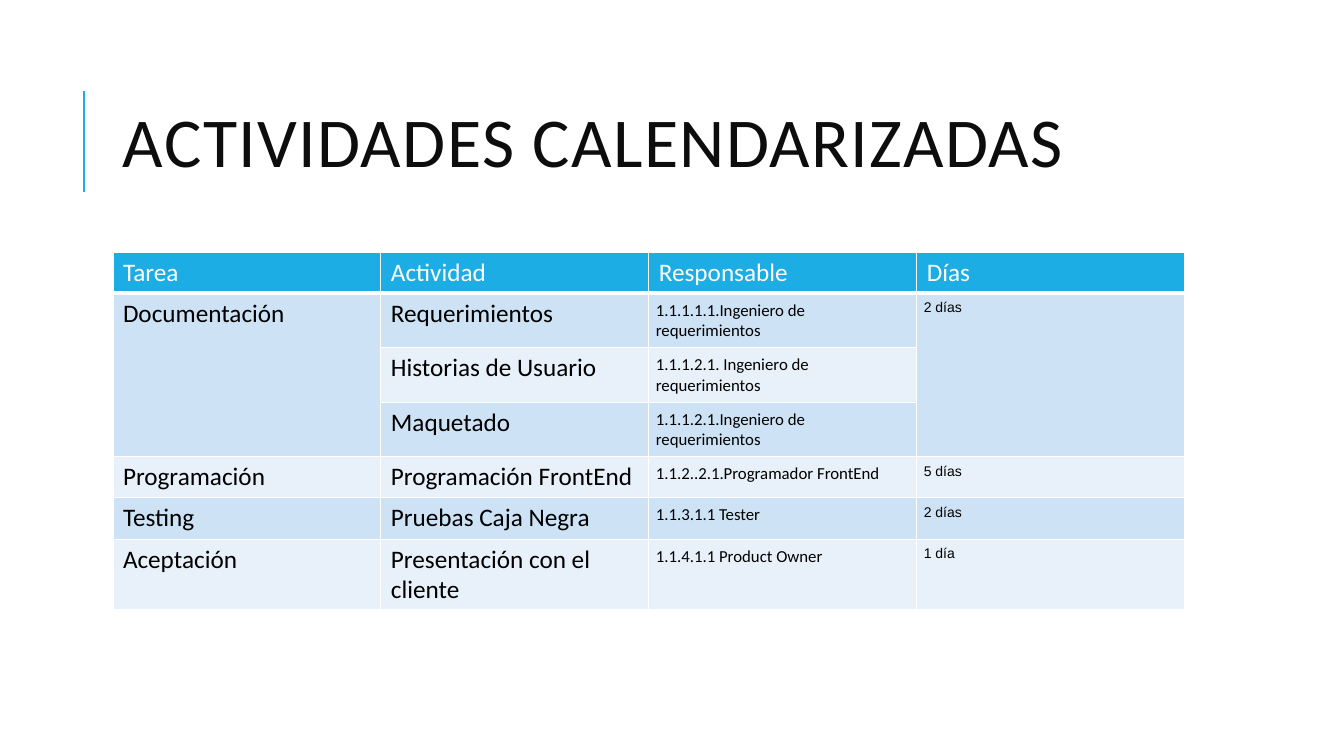
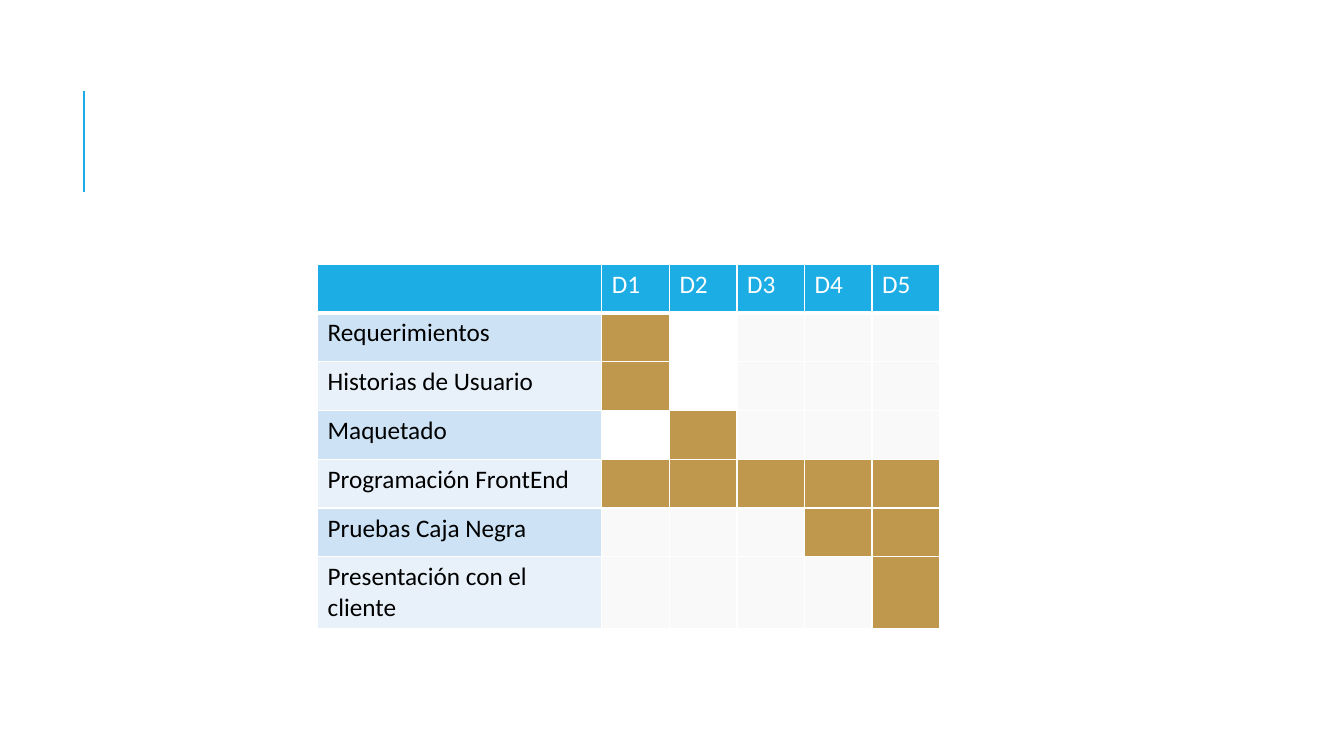
from lxml.etree import SubElement
from pptx import Presentation
from pptx.dml.color import RGBColor
from pptx.enum.shapes import MSO_CONNECTOR as Connector
from pptx.enum.text import MSO_ANCHOR as Anchor
from pptx.oxml.ns import qn
from pptx.util import Inches, Pt

ACCENT = RGBColor(0x1C, 0xAD, 0xE4)
BAND_DARK = RGBColor(0xCD, 0xE3, 0xF5)
BAND_LIGHT = RGBColor(0xE8, 0xF1, 0xFA)
BUSY = RGBColor(0xBF, 0x97, 0x4D)
IDLE = RGBColor(0xF9, 0xF9, 0xFA)
WHITE = RGBColor(0xFF, 0xFF, 0xFF)
BLACK = RGBColor(0, 0, 0)
TITLE_INK = RGBColor(0x0D, 0x0D, 0x0D)
BODY_FONT = "Calibri"
DAYS_FONT = "Arial"

HEADINGS = ["Tarea", "Actividad", "Responsable", "Días"]
ACTIVITIES = [
    ["Documentación", "Requerimientos", "1.1.1.1.1.Ingeniero de requerimientos", "2 días"],
    ["", "Historias de Usuario", "1.1.1.2.1. Ingeniero de requerimientos", ""],
    ["", "Maquetado", "1.1.1.2.1.Ingeniero de requerimientos", ""],
    ["Programación", "Programación FrontEnd", "1.1.2..2.1.Programador FrontEnd", "5 días"],
    ["Testing", "Pruebas Caja Negra", "1.1.3.1.1 Tester", "2 días"],
    ["Aceptación", "Presentación con el cliente", "1.1.4.1.1 Product Owner", "1 día"],
]
DOCUMENTATION_ROWS = (1, 3)
DAY_COUNT = 5
BUSY_DAYS = [{1}, {1}, {2}, {1, 2, 3, 4, 5}, {4, 5}, {5}]
BLANK_DAYS = [{2}, {2}, {1}, set(), set(), set()]


def style_text(paragraph, size, color, font=BODY_FONT):
    paragraph.font.name = font
    paragraph.font.size = Pt(size)
    paragraph.font.color.rgb = color
    paragraph.font.bold = False


def add_page(deck):
    page = deck.slides.add_slide(deck.slide_layouts[6])
    x = Inches(0.83)
    rule = page.shapes.add_connector(Connector.STRAIGHT, x, Inches(1.9), x, Inches(0.9))
    rule.line.color.rgb = ACCENT
    rule.line.width = Pt(1.5)
    SubElement(rule._element.spPr, qn("a:effectLst"))
    return page


def add_title(page, text, left, top, width, height):
    box = page.shapes.add_textbox(left, top, width, height)
    frame = box.text_frame
    frame.word_wrap = True
    frame.vertical_anchor = Anchor.MIDDLE
    para = frame.paragraphs[0]
    para.line_spacing = 0.8
    style_text(para, 50, TITLE_INK)
    span = para.add_run()
    span.text = text
    span.font._element.set("spc", "100")


def add_border(cell, side, width):
    properties = cell._tc.get_or_add_tcPr()
    line = SubElement(properties, qn(f"a:{side}"), w=str(Pt(width)))
    fill = SubElement(line, qn("a:solidFill"))
    SubElement(fill, qn("a:srgbClr"), val=str(WHITE))


def fill_cell(cell, text, fill, size=18, font=BODY_FONT, inset=None, header=False):
    for side in ("lnL", "lnR", "lnT", "lnB"):
        add_border(cell, side, 3 if header and side == "lnB" else 1)
    cell.fill.solid()
    cell.fill.fore_color.rgb = fill
    if inset is not None:
        cell.margin_left = cell.margin_right = inset
        cell.margin_top = cell.margin_bottom = inset
    cell.text = text
    style_text(cell.text_frame.paragraphs[0], size, WHITE if header else BLACK, font)


def add_grid(page, left, top, widths, row_height, headings, row_count):
    frame = page.shapes.add_table(
        row_count + 1, len(widths), left, top, sum(widths), row_height * (row_count + 1))
    table = frame.table
    table.horz_banding = False
    for column, width in zip(table.columns, widths):
        column.width = width
    for row in table.rows:
        row.height = row_height
    for index, heading in enumerate(headings):
        fill_cell(table.cell(0, index), heading, ACCENT, header=True)
    return table


def band(row):
    return BAND_DARK if row % 2 else BAND_LIGHT


def add_activity_table(page, left, top, width):
    widths = [width // len(HEADINGS)] * len(HEADINGS)
    table = add_grid(page, left, top, widths, Inches(0.41), HEADINGS, len(ACTIVITIES))
    styles = [
        {},
        {},
        {"size": 12, "inset": Inches(0.07)},
        {"size": 10, "font": DAYS_FONT, "inset": Inches(0.07)},
    ]
    for row, texts in enumerate(ACTIVITIES, 1):
        for column, text in enumerate(texts):
            fill_cell(table.cell(row, column), text, band(row), **styles[column])
    first, last = DOCUMENTATION_ROWS
    for column in (0, 3):
        table.cell(first, column).merge(table.cell(last, column))


def add_schedule(page, left, top, name_width, day_width):
    days = range(1, DAY_COUNT + 1)
    widths = [name_width] + [day_width] * DAY_COUNT
    headings = [""] + [f"D{day}" for day in days]
    table = add_grid(page, left, top, widths, Inches(0.484), headings, len(ACTIVITIES))
    schedule = zip(ACTIVITIES, BUSY_DAYS, BLANK_DAYS)
    for row, (activity, busy, blank) in enumerate(schedule, 1):
        fill_cell(table.cell(row, 0), activity[1], band(row))
        for day in days:
            fill = BUSY if day in busy else WHITE if day in blank else IDLE
            fill_cell(table.cell(row, day), "", fill)


def build_activities(deck):
    page = add_page(deck)
    left, width = Inches(1.12), Inches(10.63)
    add_title(page, "ACTIVIDADES CALENDARIZADAS", left, Inches(0.64), width, Inches(1.64))
    add_activity_table(page, left, Inches(2.5), width)


def build_schedule(deck):
    page = add_page(deck)
    add_schedule(page, Inches(3.15), Inches(2.62), Inches(2.82), Inches(0.67))


deck = Presentation()
deck.slide_width = Inches(13.33)
deck.slide_height = Inches(7.5)
build_activities(deck)
build_schedule(deck)
deck.save("out.pptx")
